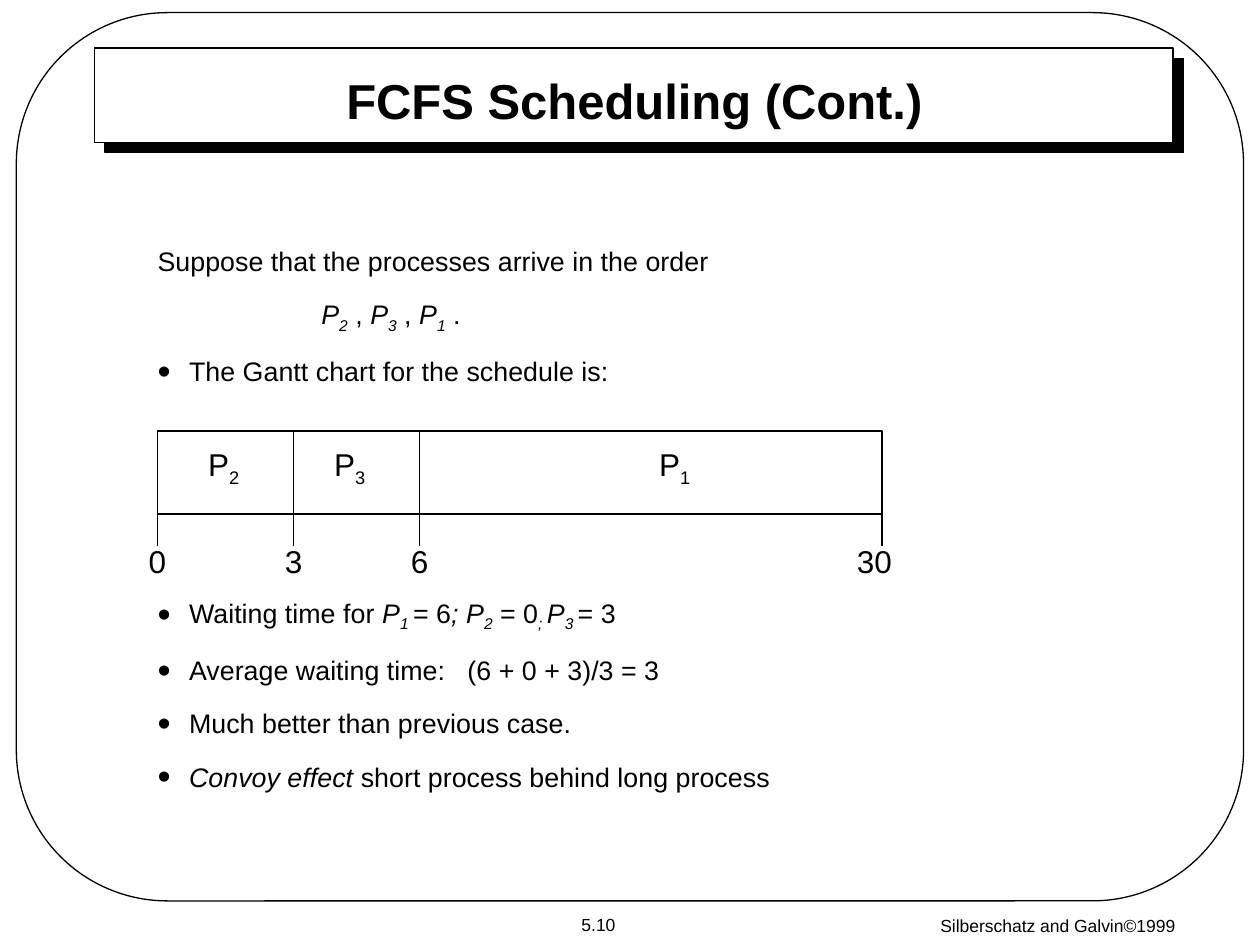
from lxml import etree
from pptx import Presentation
from pptx.dml.color import RGBColor
from pptx.enum.shapes import MSO_CONNECTOR, MSO_SHAPE
from pptx.enum.text import MSO_ANCHOR, MSO_AUTO_SIZE, PP_ALIGN
from pptx.oxml.ns import qn
from pptx.util import Inches, Pt

BLACK = RGBColor(0, 0, 0)
WHITE = RGBColor(255, 255, 255)

presentation = Presentation()
presentation.slide_width, presentation.slide_height = Inches(10), Inches(7.5)
slide = presentation.slides.add_slide(presentation.slide_layouts[1])
shapes = slide.shapes


def write(paragraph, text, size=18, bold=False, align=PP_ALIGN.LEFT, before=0):
    """Write (text, style) pairs; style i is italic and s is subscript."""
    paragraph.alignment = align
    paragraph.space_before = Pt(before)
    for part, style in [(text, "")] if isinstance(text, str) else text:
        run = paragraph.add_run()
        run.text = part
        run.font.name, run.font.size = "Arial", Pt(size)
        run.font.bold, run.font.italic = bold, "i" in style
        run.font.color.rgb = BLACK
        if "s" in style:
            run._r.get_or_add_rPr().set("baseline", "-25000")


def add_label(text, left, top, width, height, size=18, anchor=MSO_ANCHOR.MIDDLE):
    box = shapes.add_textbox(Inches(left), Inches(top), Inches(width), Inches(height))
    box.text_frame.word_wrap = False
    box.text_frame.vertical_anchor = anchor
    write(box.text_frame.paragraphs[0], text, size=size, align=PP_ALIGN.CENTER)


# Frame and title panel, behind the placeholders
panels = [
    (MSO_SHAPE.ROUNDED_RECTANGLE, 0.13, 0.1, 9.74, 7.05),
    (MSO_SHAPE.RECTANGLE, 0.75, 0.38, 8.56, 0.75),
]
for position, (kind, left, top, width, height) in enumerate(panels):
    panel = shapes.add_shape(kind, Inches(left), Inches(top), Inches(width), Inches(height))
    panel.shadow.inherit = False
    panel.line.color.rgb, panel.line.width = BLACK, Pt(0.75)
    if kind == MSO_SHAPE.ROUNDED_RECTANGLE:
        panel.fill.background()
        panel.adjustments[0] = 0.17
    else:
        panel.fill.solid()
        panel.fill.fore_color.rgb = WHITE
        effects = panel._element.spPr.find(qn("a:effectLst"))
        shadow = etree.SubElement(effects, qn("a:outerShdw"), dist=str(Pt(8.5)),
                                  dir="2700000", algn="ctr", rotWithShape="0")
        etree.SubElement(shadow, qn("a:srgbClr"), val=str(BLACK))
    shapes._spTree.insert(2 + position, panel._element)

# Title
title = shapes.title
title.left, title.top, title.width, title.height = map(Inches, (1.27, 0.54, 7.53, 0.5))
title.text_frame.auto_size = MSO_AUTO_SIZE.NONE
title.text_frame.vertical_anchor = MSO_ANCHOR.MIDDLE
write(title.text_frame.paragraphs[0], "FCFS Scheduling (Cont.)",
      size=28, bold=True, align=PP_ALIGN.CENTER)

# Body: text, bullet, left margin, space before (the large one clears the chart)
order = [("P", "i"), ("2", "is"), (" , ", ""), ("P", "i"), ("3", "is"), (" , ", ""),
         ("P", "i"), ("1", "is"), (" .", "")]
waiting = [("Waiting time for ", ""), ("P", "i"), ("1 ", "is"), ("= 6", ""), ("; P", "i"),
           ("2", "is"), (" = 0", ""), ("; ", "is"), ("P", "i"), ("3 ", "is"), ("= 3", "")]
convoy = [("Convoy effect", "i"), (" short process behind long process", "")]
lines = [
    ("Suppose that the processes arrive in the order", False, 0, 0),
    (order, False, 1.3, 12),
    ("The Gantt chart for the schedule is:", True, 0.25, 12),
    (waiting, True, 0.25, 119.5),
    ("Average waiting time:\t(6 + 0 + 3)/3 = 3", True, 0.25, 12),
    ("Much better than previous case.", True, 0.25, 12),
    (convoy, True, 0.25, 12),
]
body = slide.placeholders[1]
body.left, body.top, body.width, body.height = map(Inches, (1.15, 1.89, 7.69, 4.5))
frame = body.text_frame
frame.auto_size = MSO_AUTO_SIZE.NONE
for number, (text, bullet, margin, before) in enumerate(lines):
    paragraph = frame.add_paragraph() if number else frame.paragraphs[0]
    properties = paragraph._p.get_or_add_pPr()
    properties.set("marL", str(Inches(margin)))
    properties.set("indent", str(Inches(-0.25 if bullet else 0)))
    if bullet:
        color = etree.SubElement(properties, qn("a:buClr"))
        etree.SubElement(color, qn("a:srgbClr"), val=str(BLACK))
        etree.SubElement(properties, qn("a:buSzPct"), val="140000")
        etree.SubElement(properties, qn("a:buFont"), typeface="Arial")
        etree.SubElement(properties, qn("a:buChar"), char="•")
    else:
        etree.SubElement(properties, qn("a:buNone"))
    if "\t" in text:
        tabs = etree.SubElement(properties, qn("a:tabLst"))
        etree.SubElement(tabs, qn("a:tab"), pos=str(Inches(2.46)), algn="l")
    write(paragraph, text, size=15.3, before=before)

# Gantt bar
bar_top, bar_bottom, tick_bottom = 3.42, 4.08, 4.33
times = [("0", 1.25), ("3", 2.33), ("6", 3.33), ("30", 7)]
start, end = times[0][1], times[-1][1]
bar = shapes.add_shape(MSO_SHAPE.RECTANGLE, Inches(start), Inches(bar_top),
                       Inches(end - start), Inches(bar_bottom - bar_top))
bar.shadow.inherit = False
bar.fill.solid()
bar.fill.fore_color.rgb = WHITE
bar.line.color.rgb, bar.line.width = BLACK, Pt(0.75)

# Process names
for number, center in [("2", 1.78), ("3", 2.78), ("1", 5.36)]:
    add_label([("P", ""), (number, "s")], center - 0.23, 3.48, 0.45, 0.44)

# Dividers, ticks and times
for time, x in times:
    spans = [(bar_bottom, tick_bottom)]
    if start < x < end:
        spans.append((bar_top, bar_bottom))
    for top, bottom in spans:
        line = shapes.add_connector(MSO_CONNECTOR.STRAIGHT, Inches(x), Inches(top),
                                    Inches(x), Inches(bottom))
        line.line.color.rgb, line.line.width = BLACK, Pt(0.75)
        etree.SubElement(line._element.spPr, qn("a:effectLst"))
    width = 0.34 if len(time) == 1 else 0.48
    center = x if x < end else x - 0.06
    add_label(time, center - width / 2, 4.25, width, 0.4)

# Footer
add_label("5.10", 4.28, 7.2, 0.94, 0.27, size=10)
add_label("Silberschatz and Galvin©1999", 6.81, 7.21, 3.17, 0.27, size=10, anchor=MSO_ANCHOR.TOP)

presentation.save("out.pptx")
